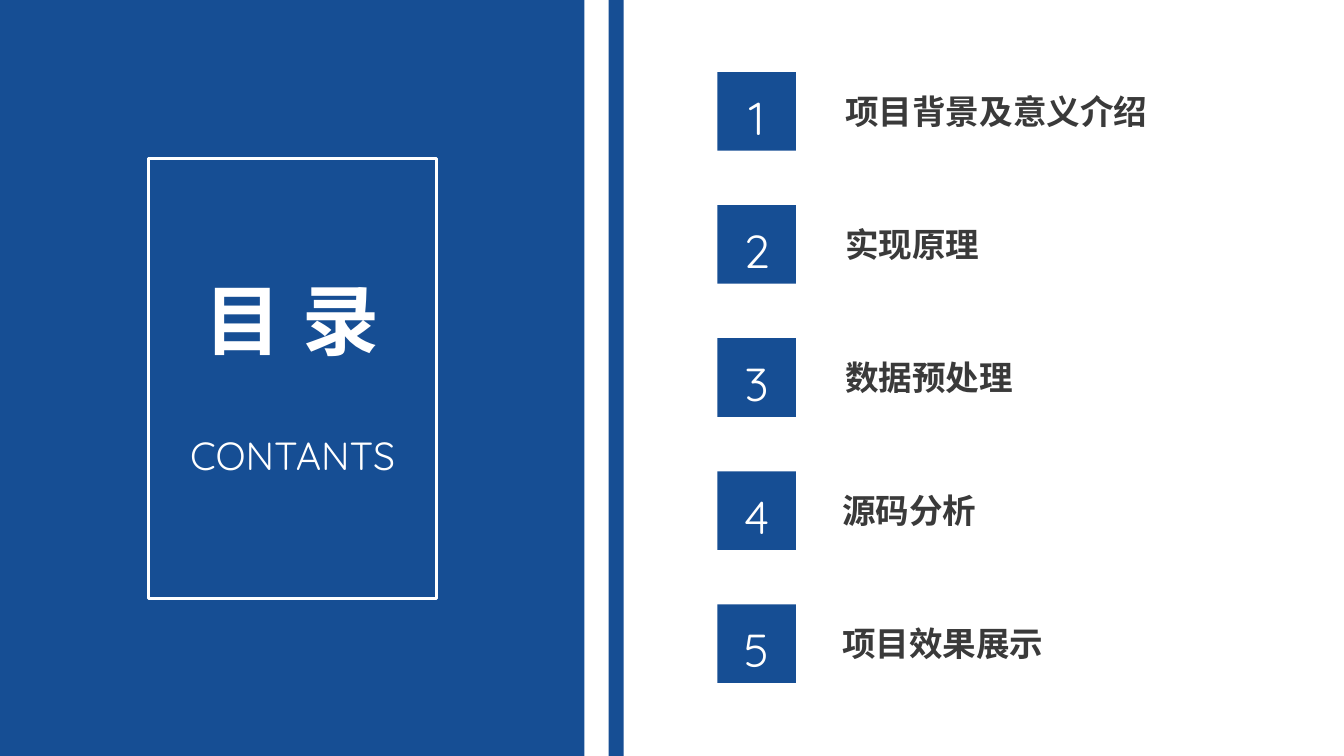
from pptx import Presentation
from pptx.dml.color import RGBColor
from pptx.enum.shapes import MSO_SHAPE
from pptx.enum.text import MSO_ANCHOR, MSO_AUTO_SIZE, PP_ALIGN
from pptx.oxml.ns import qn
from pptx.util import Inches, Pt
from lxml.etree import SubElement

BLUE = "164E94"
WHITE = "FFFFFF"
DARK = "3A3A3A"
FONT = "Quicksand"
HEADING_FONT = "Noto Sans CJK SC"
ITEM_STEP = 1.32
BADGE_SIZE = 0.78
ITEMS = [
    ("项目背景及意义介绍", 1.17, 3.5, HEADING_FONT),
    ("实现原理", 1.17, 1.55, FONT),
    ("数据预处理", 1.17, 1.88, FONT),
    ("源码分析", 1.14, 1.55, FONT),
    ("项目效果展示", 1.14, 2.22, FONT),
]


def color(value):
    return RGBColor.from_string(value)


def add_rectangle(slide, left, top, width, height, fill=None, line=None):
    shape = slide.shapes.add_shape(
        MSO_SHAPE.RECTANGLE, Inches(left), Inches(top), Inches(width), Inches(height))
    shape.shadow.inherit = False
    if fill:
        shape.fill.solid()
        shape.fill.fore_color.rgb = color(fill)
    else:
        shape.fill.background()
    if line:
        shape.line.color.rgb = color(line)
        shape.line.width = Pt(2.25)
    else:
        shape.line.fill.background()
    return shape


def write(paragraph, text, size, text_color, bold=False, font=FONT):
    run = paragraph.add_run()
    run.text = text
    run.font.name = font
    run.font.size = Pt(size)
    run.font.bold = bold
    run.font.color.rgb = color(text_color)
    east_asian = SubElement(run.font._element, qn("a:ea"))
    east_asian.set("typeface", FONT)


def add_text(slide, left, top, width, height, text, size, text_color,
             bold=False, align=PP_ALIGN.LEFT, font=FONT):
    box = slide.shapes.add_textbox(
        Inches(left), Inches(top), Inches(width), Inches(height))
    frame = box.text_frame
    frame.word_wrap = True
    frame.auto_size = MSO_AUTO_SIZE.SHAPE_TO_FIT_TEXT
    paragraph = frame.paragraphs[0]
    paragraph.alignment = align
    write(paragraph, text, size, text_color, bold, font)


def add_title_panel(slide, left, top, width, height):
    add_rectangle(slide, left, top, width, height, fill=BLUE)
    add_rectangle(slide, left + width + 0.24, top, 0.15, height, fill=BLUE)
    add_rectangle(slide, left + 1.47, top + 1.57, 2.86, 4.37, line=WHITE)
    add_text(slide, left + 1.49, top + 2.65, 2.82, 1.03, "目 录", 55, WHITE,
             bold=True, align=PP_ALIGN.CENTER)
    add_text(slide, left + 1.74, top + 4.23, 2.33, 0.57, "CONTANTS", 28, WHITE,
             align=PP_ALIGN.CENTER)


def add_badge(slide, left, top, number):
    badge = add_rectangle(slide, left, top, BADGE_SIZE, BADGE_SIZE, fill=BLUE)
    badge.text_frame.vertical_anchor = MSO_ANCHOR.MIDDLE
    paragraph = badge.text_frame.paragraphs[0]
    paragraph.alignment = PP_ALIGN.CENTER
    paragraph.line_spacing = 1.2
    write(paragraph, str(number), 33, WHITE)


def add_contents(slide, left, top):
    for index, (text, offset, width, font) in enumerate(ITEMS):
        item_top = top + index * ITEM_STEP
        add_badge(slide, left, item_top, index + 1)
        add_text(slide, left + offset, item_top + 0.14, width, 0.5, text, 24, DARK,
                 bold=True, font=font)


def main():
    presentation = Presentation()
    presentation.slide_width = Inches(13.34)
    presentation.slide_height = Inches(7.5)
    slide = presentation.slides.add_slide(presentation.slide_layouts[6])
    add_title_panel(slide, 0, 0, 5.8, 7.5)
    add_contents(slide, 7.12, 0.715)
    presentation.save("out.pptx")


if __name__ == "__main__":
    main()
